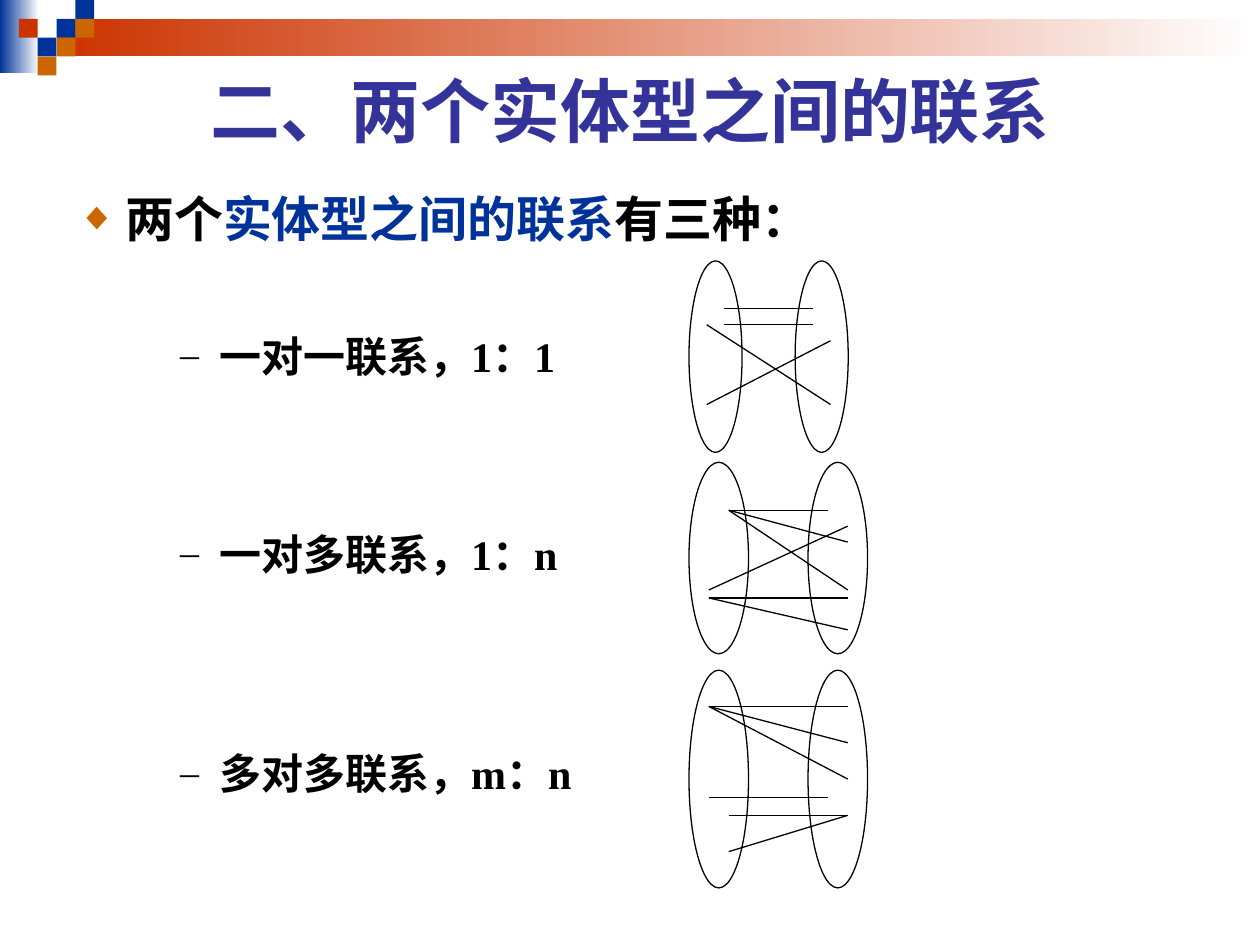
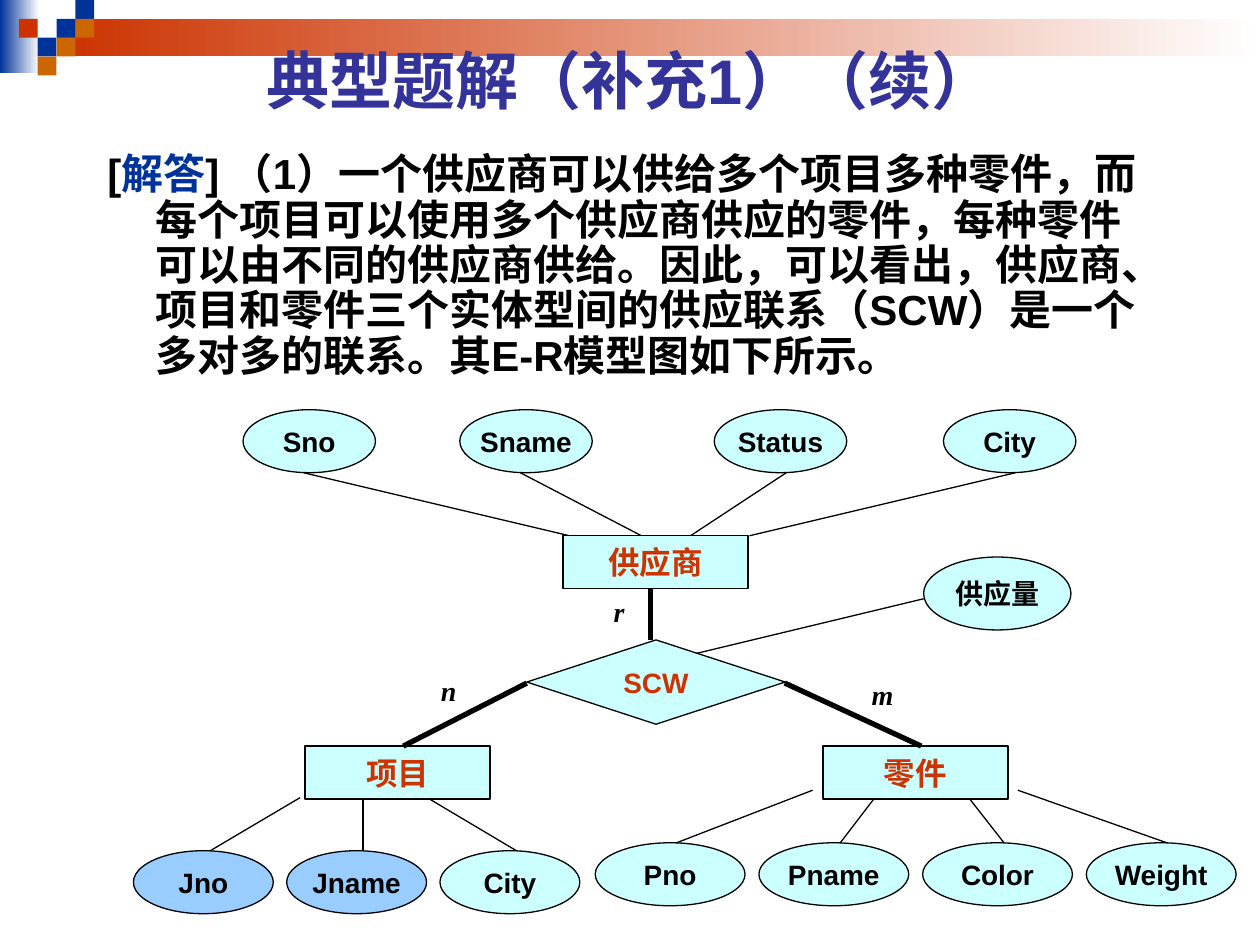
import lxml.etree
import pptx
import pptx.dml.color
import pptx.enum.shapes
import pptx.enum.text
import pptx.oxml.ns
import pptx.util

Cm = pptx.util.Cm
Pt = pptx.util.Pt
RGBColor = pptx.dml.color.RGBColor
Shape = pptx.enum.shapes.MSO_SHAPE
Align = pptx.enum.text.PP_ALIGN
Anchor = pptx.enum.text.MSO_ANCHOR
qn = pptx.oxml.ns.qn

BLACK = RGBColor(0x00, 0x00, 0x00)
WHITE = RGBColor(0xFF, 0xFF, 0xFF)
NAVY = RGBColor(0x00, 0x33, 0x99)
RED = RGBColor(0xCC, 0x33, 0x00)
ORANGE = RGBColor(0xCC, 0x66, 0x00)
INDIGO = RGBColor(0x33, 0x33, 0x99)
PALE_CYAN = RGBColor(0xCC, 0xFF, 0xFF)
SKY = RGBColor(0x99, 0xCC, 0xFF)
SANS = "Arial"
SERIF = "Times New Roman"


def add_span(para, text, size=16, font=SANS, color=BLACK, bold=True, italic=False):
    """Add one formatted span to a paragraph."""
    span = para.add_run()
    span.text = text
    span.font.size = Pt(size)
    span.font.name = font
    span.font.color.rgb = color
    span.font.bold = bold
    span.font.italic = italic


def set_bullet(para, left, hanging, mark=None, color=BLACK, percent=100):
    """Give a paragraph a hanging indent and a bullet, or no bullet."""
    properties = para._p.get_or_add_pPr()
    properties.set("marL", str(Cm(left)))
    properties.set("indent", str(-Cm(hanging)))
    if mark is None:
        lxml.etree.SubElement(properties, qn("a:buNone"))
        return
    tint = lxml.etree.SubElement(properties, qn("a:buClr"))
    lxml.etree.SubElement(tint, qn("a:srgbClr"), val=str(color))
    lxml.etree.SubElement(properties, qn("a:buSzPct"), val=str(percent * 1000))
    lxml.etree.SubElement(properties, qn("a:buFont"), typeface=SERIF)
    lxml.etree.SubElement(properties, qn("a:buChar"), char=mark)


class Page:
    """Hold the deck style and the slide being drawn."""

    def __init__(self, deck):
        """Start from a deck whose master gets the shared band."""
        self.deck = deck
        self.slide = None

    def start(self, title, top, height, size):
        """Open a new slide with a centred title."""
        self.slide = self.deck.slides.add_slide(self.deck.slide_layouts[1])
        frame = self.place(self.slide.shapes.title, 1.91, top, 21.59, height)
        frame.vertical_anchor = Anchor.MIDDLE
        frame.paragraphs[0].alignment = Align.CENTER
        add_span(frame.paragraphs[0], title, size=size, color=INDIGO)

    def place(self, box, left, top, width, height):
        """Move a text holder and return its wrapping frame."""
        box.left, box.top = Cm(left), Cm(top)
        box.width, box.height = Cm(width), Cm(height)
        frame = box.text_frame
        frame.word_wrap = True
        frame.auto_size = pptx.enum.text.MSO_AUTO_SIZE.NONE
        return frame

    def body(self, left, top, width, height):
        """Move the body placeholder and return its first paragraph."""
        frame = self.place(self.slide.placeholders[1], left, top, width, height)
        frame.vertical_anchor = Anchor.TOP
        frame.paragraphs[0].space_before = Pt(0)
        return frame.paragraphs[0]

    def text(self, left, top, width, height, wrap=True):
        """Add a text box and return its first paragraph."""
        box = self.slide.shapes.add_textbox(Cm(left), Cm(top), Cm(width), Cm(height))
        box.text_frame.word_wrap = wrap
        return box.text_frame.paragraphs[0]

    def shape(self, kind, left, top, width, height, fill=None, outlined=True):
        """Add a flat preset shape."""
        shape = self.slide.shapes.add_shape(kind, Cm(left), Cm(top), Cm(width), Cm(height))
        shape.shadow.inherit = False
        if fill is None:
            shape.fill.background()
        else:
            shape.fill.solid()
            shape.fill.fore_color.rgb = fill
        if outlined:
            shape.line.color.rgb = BLACK
            shape.line.width = Pt(0.75)
        else:
            shape.line.fill.background()
        return shape

    def node(self, kind, text, left, top, width, height, fill=PALE_CYAN, **style):
        """Add a diagram node with centred text."""
        frame = self.shape(kind, left, top, width, height, fill).text_frame
        frame.word_wrap = False
        frame.vertical_anchor = Anchor.MIDDLE
        frame.margin_left = frame.margin_right = Cm(0.15)
        frame.margin_top = frame.margin_bottom = Cm(0.03)
        frame.paragraphs[0].alignment = Align.CENTER
        add_span(frame.paragraphs[0], text, **style)

    def line(self, x1, y1, x2, y2, weight=0.75):
        """Add a straight black line."""
        line = self.slide.shapes.add_connector(
            pptx.enum.shapes.MSO_CONNECTOR.STRAIGHT, Cm(x1), Cm(y1), Cm(x2), Cm(y2))
        line.line.color.rgb = BLACK
        line.line.width = Pt(weight)
        lxml.etree.SubElement(line.element.spPr, qn("a:effectLst"))

    def band(self):
        """Draw the fading bands and the checks, and move them to the master."""
        parts = []
        for color, area in ((NAVY, (0, 0, 0.79, 1.47)), (RED, (1.14, 0.38, 24.26, 0.76))):
            fade = self.shape(Shape.RECTANGLE, *area, outlined=False)
            fade.fill.gradient()
            fade.fill.gradient_angle = 0
            for stop, tint in zip(fade.fill.gradient_stops, (color, WHITE)):
                stop.color.rgb = tint
            parts.append(fade)
        unit = 0.38
        checks = ((3, 1, NAVY), (4, 0, NAVY), (4, 1, ORANGE), (2, 2, NAVY),
                  (1, 1, RED), (3, 2, ORANGE), (2, 3, ORANGE))
        for column, row, color in checks:
            parts.append(self.shape(Shape.RECTANGLE, column * unit, row * unit,
                                    unit, unit, color, outlined=False))
        for part in parts:
            self.deck.slide_master.shapes.element.append(part.element)

    def mapping(self, top, width, height, links):
        """Draw two sets and links, in thirds of a width and twelfths of a height."""
        left = 13.89
        for side in (0, 2):
            self.shape(Shape.OVAL, left + side * width, top, width, height)
        for x1, y1, x2, y2 in links:
            self.line(left + x1 * width / 3, top + y1 * height / 12,
                      left + x2 * width / 3, top + y2 * height / 12)

    def attributes(self, top, width, oval_y, entity_y, items):
        """Draw a row of attribute ovals, each joined to its entity."""
        for name, left, oval_x, entity_x, fill in items:
            self.node(Shape.OVAL, name, left, top, width, 1.27, fill)
            self.line(oval_x, oval_y, entity_x, entity_y)


def draw_relationship_types(page):
    """Draw the slide on the three relationship types."""
    page.start("二、两个实体型之间的联系", 0.91, 2.59, 40)
    page.band()
    para = page.body(1.3, 3.68, 21.41, 1.85)
    para.alignment = Align.JUSTIFY
    set_bullet(para, 0.97, 0.97, "◆", ORANGE, 80)
    for text, color in (("两个", BLACK), ("实体型之间的联系", NAVY), ("有三种：", BLACK)):
        add_span(para, text, size=28, font=SERIF, color=color)

    for text, top in (("一对一联系，1：1", 6.53), ("一对多联系，1：n", 10.52),
                      ("多对多联系，m：n", 14.94)):
        para = page.text(2.11, top, 10.8, 1.8)
        para.alignment = Align.JUSTIFY
        set_bullet(para, 2.06, 0.79, "–", BLACK, 90)
        add_span(para, text, size=24, font=SERIF)

    page.mapping(5.26, 1.07, 3.86, (
        (2, 3, 7, 3), (2, 4, 7, 4), (1, 4, 8, 9), (1, 9, 8, 5)))
    page.mapping(9.32, 1.2, 3.86, (
        (2, 3, 7, 3), (2, 3, 8, 5), (2, 3, 8, 8),
        (1, 8, 8, 4), (1, 8.5, 8, 8.5), (1, 8.5, 8, 10.5)))
    page.mapping(13.51, 1.2, 4.39, (
        (1, 2, 8, 2), (1, 2, 8, 4), (1, 2, 8, 6),
        (2, 8, 8, 8), (2, 10, 8, 8), (1, 7, 7, 7)))


def draw_supply_model(page):
    """Draw the slide with the entity-relationship model of supply."""
    page.start("典型题解（补充1）（续）", 0.64, 1.91, 36)
    para = page.body(1.91, 2.97, 21.59, 4.88)
    para.line_spacing = 0.9
    set_bullet(para, 0.97, 0.97)
    answer = ("] （1）一个供应商可以供给多个项目多种零件，而每个项目可以使用多个供应商"
              "供应的零件，每种零件可以由不同的供应商供给。因此，可以看出，供应商、项目和"
              "零件三个实体型间的供应联系（SCW）是一个多对多的联系。其E-R模型图如下所示。")
    for text, color in (("[", BLACK), ("解答", NAVY), (answer, BLACK)):
        add_span(para, text, size=24, color=color)

    page.attributes(8.26, 2.67, 9.53, 10.8, (
        ("Sno", 4.9, 6.12, 11.48, PALE_CYAN),
        ("Sname", 9.27, 10.49, 12.93, PALE_CYAN),
        ("Status", 14.4, 15.85, 13.92, PALE_CYAN),
        ("City", 19.02, 20.47, 15.11, PALE_CYAN)))
    page.attributes(17.15, 2.82, 17.15, 16.08, (
        ("Jno", 2.69, 4.24, 6.05, SKY),
        ("Jname", 5.78, 7.32, 7.32, SKY),
        ("City", 8.87, 10.41, 8.61, PALE_CYAN)))
    page.attributes(16.99, 3.02, 16.99, 15.93, (
        ("Pno", 12, 13.64, 16.38, PALE_CYAN),
        ("Pname", 15.3, 16.94, 17.75, PALE_CYAN),
        ("Color", 18.6, 20.24, 19.41, PALE_CYAN),
        ("Weight", 21.9, 23.52, 20.52, PALE_CYAN)))
    page.node(Shape.OVAL, "供应量", 18.62, 11.23, 2.97, 1.47)
    page.line(13.34, 13.34, 18.62, 12.07)

    for name, left, top in (("供应商", 11.35, 10.8), ("项目", 6.15, 15.04),
                            ("零件", 16.59, 15.04)):
        page.node(Shape.RECTANGLE, name, left, top, 3.73, 1.07, size=18, color=RED)
    page.node(Shape.FLOWCHART_DECISION, "SCW", 10.62, 12.9, 5.21, 1.7, color=RED)
    for role, left, top, ends in (
            ("r", 12.12, 11.86, (13.11, 11.86, 13.11, 12.9)),
            ("n", 8.64, 13.46, (8.13, 15.04, 10.62, 13.77)),
            ("m", 17.32, 13.54, (15.82, 13.77, 18.57, 15.04))):
        page.line(*ends, weight=3)
        add_span(page.text(left, top, 0.8, 0.94, wrap=False), role, font=SERIF, italic=True)


def main():
    """Build the deck and save it."""
    deck = pptx.Presentation()
    deck.slide_width, deck.slide_height = Cm(25.4), Cm(19.05)
    page = Page(deck)
    draw_relationship_types(page)
    draw_supply_model(page)
    deck.save("out.pptx")


if __name__ == "__main__":
    main()
